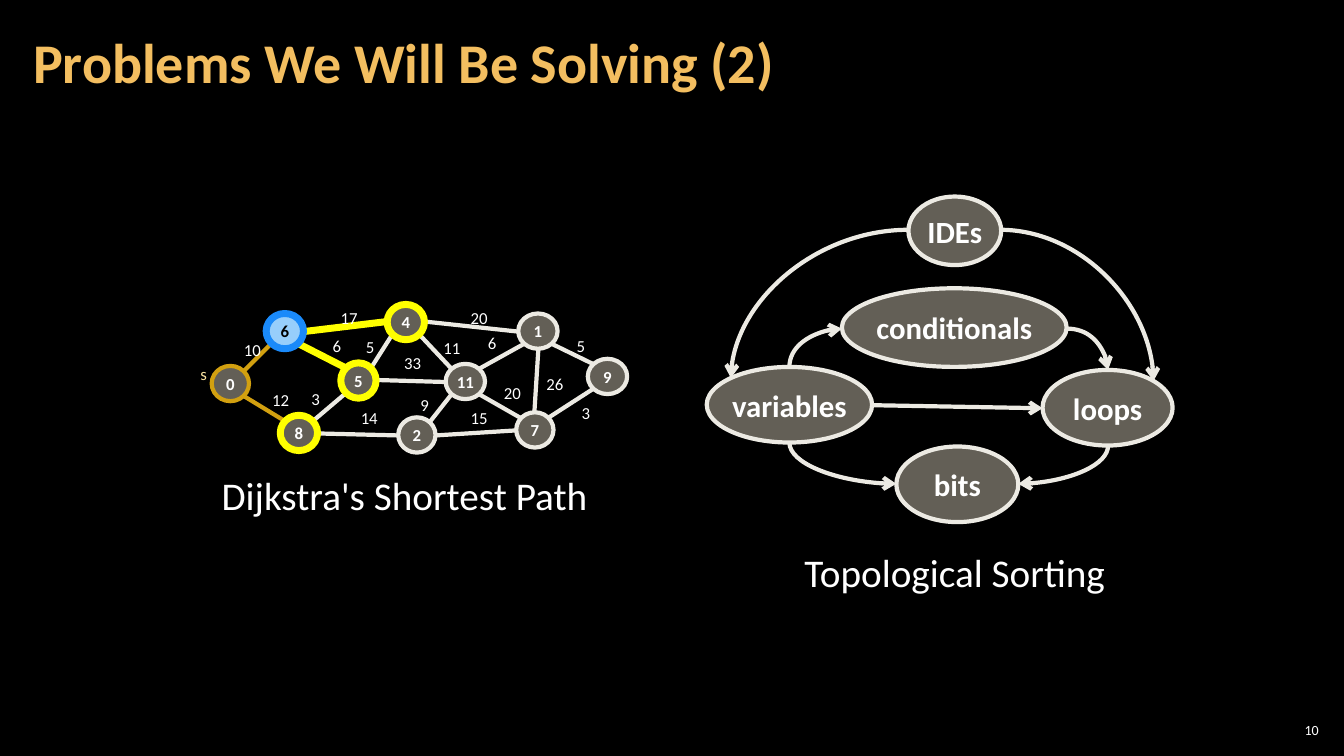
from lxml.etree import SubElement
from pptx import Presentation
from pptx.dml.color import RGBColor
from pptx.enum.shapes import MSO_CONNECTOR, MSO_SHAPE
from pptx.enum.text import MSO_ANCHOR, PP_ALIGN
from pptx.oxml.ns import qn
from pptx.util import Inches, Pt

BLACK = RGBColor(0x00, 0x00, 0x00)
WHITE = RGBColor(0xFF, 0xFF, 0xFF)
TITLE_GOLD = RGBColor(0xF3, 0xBE, 0x60)
STONE = RGBColor(0xC7, 0xBF, 0xAC)
IVORY = RGBColor(0xEC, 0xEA, 0xE3)
YELLOW = RGBColor(0xFF, 0xFF, 0x00)
AMBER = RGBColor(0xD2, 0xA0, 0x10)
PALE_GOLD = RGBColor(0xF8, 0xE1, 0x9F)
BLUE = RGBColor(0x1A, 0x8A, 0xFA)
SKY = RGBColor(0x97, 0xCE, 0xFB)

TOPICS = [
    ("variables", 7.01, 3.64, 1.64, 0.75),
    ("IDEs", 9.01, 1.95, 0.92, 0.68),
    ("conditionals", 8.35, 2.86, 2.23, 0.78),
    ("loops", 10.34, 3.67, 1.29, 0.75),
    ("bits", 8.89, 4.43, 1.21, 0.75),
]
CURVES_OUT = [
    (9.01, 2.28, 7.25, 3.75),
    (9.92, 2.28, 11.44, 3.78),
    (10.58, 3.26, 10.99, 3.67),
]
CURVES_IN = [
    (10.1, 4.8, 10.99, 4.42),
    (8.89, 4.8, 7.83, 4.39),
    (8.35, 3.26, 7.83, 3.64),
]

PLAIN = {"line_color": IVORY, "line_width": 3}
FRONTIER = {"line_color": YELLOW, "line_width": 5}
VISITED = {"line_color": AMBER, "line_width": 3}
CURRENT = {"line_color": BLUE, "line_width": 5}

EDGES = [
    (4.75, 3.66, 5.2, 3.41, PLAIN),
    (4.21, 3.19, 5.14, 3.29, PLAIN),
    (4.48, 3.66, 4.16, 3.32, PLAIN),
    (3.73, 3.77, 4.42, 3.79, PLAIN),
    (3.89, 3.32, 3.68, 3.65, PLAIN),
    (3.01, 3.29, 3.84, 3.19, FRONTIER),
    (3.43, 3.65, 2.96, 3.41, FRONTIER),
    (4.75, 3.91, 5.17, 4.15, PLAIN),
    (3.95, 4.32, 3.15, 4.3, PLAIN),
    (3.43, 3.9, 3.1, 4.18, PLAIN),
    (4.26, 4.19, 4.48, 3.91, PLAIN),
    (2.42, 3.68, 2.69, 3.41, VISITED),
    (5.3, 4.09, 5.34, 3.46, PLAIN),
    (5.12, 4.27, 4.32, 4.32, PLAIN),
    (2.42, 3.93, 2.83, 4.18, VISITED),
    (5.88, 3.61, 5.47, 3.41, PLAIN),
    (5.88, 3.86, 5.43, 4.15, PLAIN),
]
VERTICES = [
    ("11", 4.42, 3.61, 0.39, PLAIN),
    ("1", 5.14, 3.11, 0.39, PLAIN),
    ("4", 3.84, 3.02, 0.37, FRONTIER),
    ("5", 3.38, 3.6, 0.35, FRONTIER),
    ("2", 3.95, 4.14, 0.37, PLAIN),
    ("7", 5.12, 4.09, 0.37, PLAIN),
    ("9", 5.83, 3.56, 0.39, PLAIN),
    ("0", 2.1, 3.63, 0.37, VISITED),
    ("8", 2.78, 4.12, 0.37, FRONTIER),
]
WEIGHTS = [
    ("10", 2.32, 3.32), ("12", 2.6, 3.82), ("17", 3.28, 3), ("6", 3.2, 3.28),
    ("33", 3.91, 3.45), ("20", 4.57, 3), ("6", 4.74, 3.25), ("26", 5.32, 3.66),
    ("20", 4.9, 3.75), ("14", 3.48, 4), ("15", 4.57, 4), ("9", 4.07, 3.87),
    ("3", 2.99, 3.81), ("5", 3.53, 3.29), ("11", 4.3, 3.3), ("5", 5.62, 3.28),
    ("3", 5.67, 3.95),
]


def write(holder, text, size, color=WHITE, bold=False, align=PP_ALIGN.LEFT,
          anchor=MSO_ANCHOR.TOP, margins=(0.1, 0.05), wrap=True, spacing=None):
    frame = holder.text_frame
    frame.word_wrap = wrap
    frame.vertical_anchor = anchor
    frame.margin_left = frame.margin_right = Inches(margins[0])
    frame.margin_top = frame.margin_bottom = Inches(margins[1])
    paragraph = frame.paragraphs[0]
    paragraph.alignment = align
    if spacing:
        paragraph.line_spacing = spacing
    run = paragraph.add_run()
    run.text = text
    run.font.name = "Calibri"
    run.font.size = Pt(size)
    run.font.bold = bold
    run.font.color.rgb = color


def add_label(slide, text, left, top, width, height, size, **text_format):
    label = slide.shapes.add_textbox(
        Inches(left), Inches(top), Inches(width), Inches(height))
    write(label, text, size, **text_format)


def add_node(slide, text, left, top, width, height, size, line_color, line_width,
             fill=STONE, opacity=50, text_color=WHITE, margins=(0.04, 0.05)):
    node = slide.shapes.add_shape(
        MSO_SHAPE.OVAL, Inches(left), Inches(top), Inches(width), Inches(height))
    node.shadow.inherit = False
    node.fill.solid()
    node.fill.fore_color.rgb = fill
    if opacity < 100:
        tint = node.fill._xPr.find(qn("a:solidFill"))[0]
        SubElement(tint, qn("a:alpha"), val=str(opacity * 1000))
    node.line.color.rgb = line_color
    node.line.width = Pt(line_width)
    write(node, text, size, color=text_color, bold=True, align=PP_ALIGN.CENTER,
          anchor=MSO_ANCHOR.MIDDLE, margins=margins, wrap=False)


def add_edge(slide, x1, y1, x2, y2, line_color, line_width, curved=False, arrow=None):
    kind = MSO_CONNECTOR.CURVE if curved else MSO_CONNECTOR.STRAIGHT
    edge = slide.shapes.add_connector(
        kind, Inches(x1), Inches(y1), Inches(x2), Inches(y2))
    edge.line.color.rgb = line_color
    edge.line.width = Pt(line_width)
    properties = edge._element.spPr
    if curved:
        properties.find(qn("a:prstGeom")).set("prst", "curvedConnector2")
    if arrow:
        SubElement(properties.find(qn("a:ln")), qn(f"a:{arrow}"), type="arrow")
    SubElement(properties, qn("a:effectLst"))


def draw_topological_sorting(slide):
    for topic, left, top, width, height in TOPICS:
        add_node(slide, topic, left, top, width, height, 22, margins=(0, 0), **PLAIN)
    add_edge(slide, 8.65, 4.02, 10.34, 4.05, arrow="tailEnd", **PLAIN)
    for curves, arrow in ((CURVES_OUT, "tailEnd"), (CURVES_IN, "headEnd")):
        for ends in curves:
            add_edge(slide, *ends, curved=True, arrow=arrow, **PLAIN)
    add_label(slide, "Topological Sorting", 7.88, 5.39, 3.27, 0.57, 28)


def draw_shortest_path(slide):
    for x1, y1, x2, y2, state in EDGES:
        add_edge(slide, x1, y1, x2, y2, **state)
    for number, left, top, width, state in VERTICES:
        add_node(slide, number, left, top, width, 0.35, 12, **state)
    add_node(slide, "6", 2.64, 3.11, 0.37, 0.35, 12, fill=SKY, opacity=100,
             text_color=BLACK, **CURRENT)
    for weight, left, top in WEIGHTS:
        width = 0.21 + 0.08 * len(weight)
        add_label(slide, weight, left, top, width, 0.3, 12, wrap=False)
    add_label(slide, "s", 1.89, 3.56, 0.27, 0.3, 12, color=PALE_GOLD, wrap=False)
    add_label(slide, "Dijkstra's Shortest Path", 2.1, 4.63, 4.12, 0.57, 28)


def main():
    deck = Presentation()
    deck.slide_width = Inches(13.33)
    deck.slide_height = Inches(7.5)
    slide = deck.slides.add_slide(deck.slide_layouts[6])
    slide.background.fill.solid()
    slide.background.fill.fore_color.rgb = BLACK
    add_label(slide, "Problems We Will Be Solving (2)", 0.21, 0.04, 10.47, 1.21, 40,
              color=TITLE_GOLD, bold=True, anchor=MSO_ANCHOR.MIDDLE,
              margins=(0.12, 0.04), spacing=0.9)
    draw_topological_sorting(slide)
    draw_shortest_path(slide)
    add_label(slide, "10", 12.65, 7.14, 0.47, 0.21, 10, align=PP_ALIGN.RIGHT,
              anchor=MSO_ANCHOR.MIDDLE, margins=(0.04, 0.04))
    deck.save("out.pptx")


if __name__ == "__main__":
    main()
